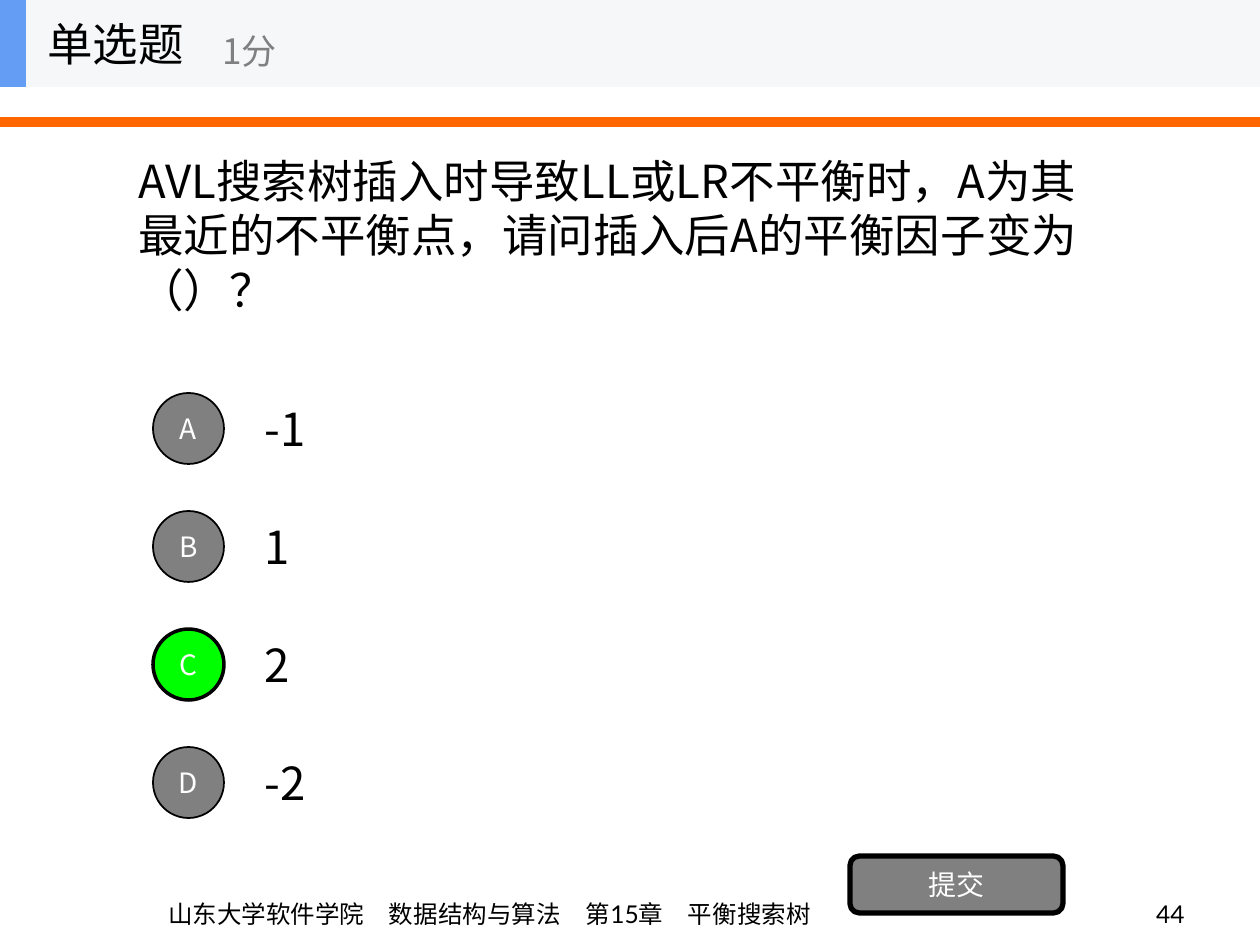
from lxml.etree import SubElement
from pptx import Presentation
from pptx.dml.color import RGBColor
from pptx.enum.shapes import MSO_CONNECTOR, MSO_SHAPE
from pptx.enum.text import MSO_ANCHOR, PP_ALIGN
from pptx.oxml.ns import qn
from pptx.util import Emu, Pt

EMU_PER_PX = 914400 / 126
COLORS = {
    "text": "000000",
    "on_button": "FFFFFF",
    "muted": "808080",
    "correct": "00FF00",
    "rule": "FF6600",
    "header": "F6F7F8",
    "accent": "639EF4",
}
CJK_FONT = "Noto Sans CJK SC"
FOOTER_FONT = "Lato"


def px(length):
    return Emu(round(length * EMU_PER_PX))


def rgb(name):
    return RGBColor.from_string(COLORS[name])


class QuizSlide:
    def __init__(self, presentation):
        self.shapes = presentation.slides.add_slide(presentation.slide_layouts[6]).shapes

    def fill_text(self, frame, wording, size, color="text", font=CJK_FONT,
                  align=PP_ALIGN.LEFT, anchor=MSO_ANCHOR.MIDDLE, wrap=True):
        frame.word_wrap = wrap
        frame.vertical_anchor = anchor
        paragraph = frame.paragraphs[0]
        paragraph.text = wording
        paragraph.alignment = align
        paragraph.font.size = Pt(size)
        paragraph.font.name = font
        paragraph.font.color.rgb = rgb(color)
        east_asian = SubElement(paragraph.font._element, qn("a:ea"))
        east_asian.set("typeface", CJK_FONT)

    def text(self, box, wording, size, **style):
        frame = self.shapes.add_textbox(*map(px, box)).text_frame
        self.fill_text(frame, wording, size, **style)

    def block(self, box, fill, kind=MSO_SHAPE.RECTANGLE, line_width=0):
        """Add a filled shape, outlined in black when line_width is given."""
        block = self.shapes.add_shape(kind, *map(px, box))
        block.shadow.inherit = False
        block.fill.solid()
        block.fill.fore_color.rgb = rgb(fill)
        if line_width:
            block.line.color.rgb = rgb("text")
            block.line.width = Pt(line_width)
        else:
            block.line.fill.background()
        return block

    def button(self, box, label, kind, fill="muted", line_width=1):
        button = self.block(box, fill, kind, line_width)
        self.fill_text(button.text_frame, label, 16, color="on_button",
                       align=PP_ALIGN.CENTER, wrap=False)

    def rule(self, y, width, color, weight):
        rule = self.shapes.add_connector(MSO_CONNECTOR.STRAIGHT, 0, px(y), px(width), px(y))
        rule.line.color.rgb = rgb(color)
        rule.line.width = Pt(weight)
        SubElement(rule._element.spPr, qn("a:effectLst"))


def main():
    presentation = Presentation()
    presentation.slide_width, presentation.slide_height = px(1260), px(945)
    quiz = QuizSlide(presentation)

    quiz.rule(122, 1260, "rule", 6)
    quiz.text((58, 872, 863, 63), "山东大学软件学院　数据结构与算法　第15章　平衡搜索树", 14,
              font=FOOTER_FONT, align=PP_ALIGN.CENTER, anchor=MSO_ANCHOR.BOTTOM)
    quiz.text((935, 872, 262, 63), "44", 14,
              font=FOOTER_FONT, align=PP_ALIGN.RIGHT, anchor=MSO_ANCHOR.BOTTOM)

    quiz.text((126, 87, 1008, 295),
              "AVL搜索树插入时导致LL或LR不平衡时，A为其最近的不平衡点，请问插入后A的平衡因子变为（）？", 26)

    answers = {"A": "-1", "B": "1", "C": "2", "D": "-2"}
    correct = "C"
    for row, (letter, answer) in enumerate(answers.items()):
        top = 384 + 118 * row
        quiz.text((252, top, 882, 88), answer, 26)
        highlight = {"fill": "correct", "line_width": 2} if letter == correct else {}
        quiz.button((153, top + 9, 71, 71), letter, MSO_SHAPE.OVAL, **highlight)
    quiz.button((850, 856, 213, 57), "提交", MSO_SHAPE.ROUNDED_RECTANGLE, line_width=3)

    quiz.block((0, 0, 1260, 87), "header")
    quiz.block((0, 0, 26, 87), "accent")
    quiz.text((35, 0, 262, 87), "单选题", 26, wrap=False)
    quiz.text((210, 15, 315, 71), "1分", 20, color="muted", wrap=False)

    presentation.save("out.pptx")


if __name__ == "__main__":
    main()
